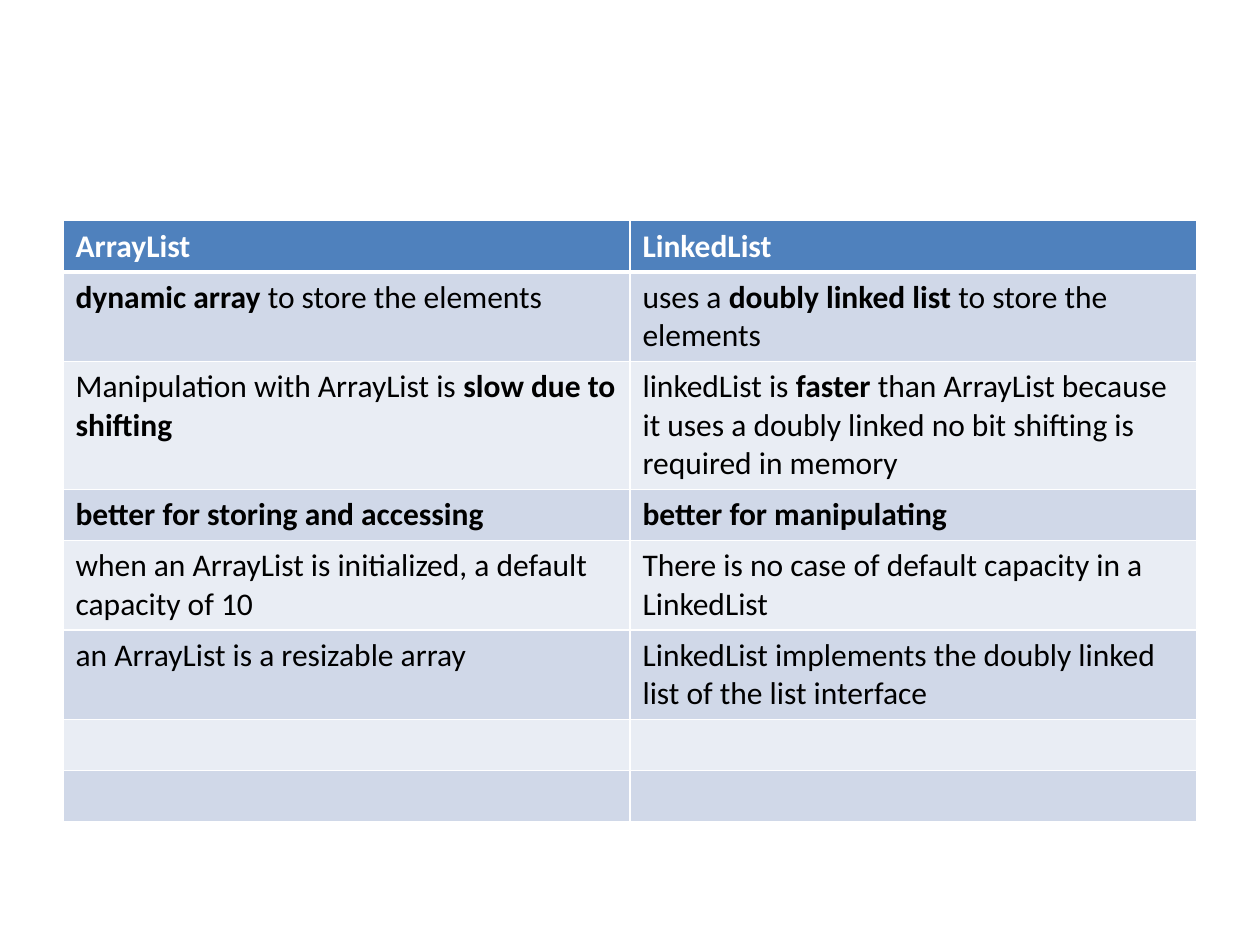
import pptx
import pptx.dml.color
import pptx.oxml
import pptx.oxml.ns
import pptx.util
from pptx.util import Cm

# Each cell is a list of (text, bold) runs; the first row is the header.
ROWS = [
    ([("ArrayList", True)], [("LinkedList", True)]),
    ([("dynamic array", True), ("\u00a0to store the elements", False)],
     [("uses a\u00a0", False), ("doubly linked list", True),
      ("\u00a0to store the elements", False)]),
    ([("Manipulation with ArrayList is\u00a0", False),
      ("slow due to shifting", True)],
     [("linkedList is\u00a0", False), ("faster", True),
      ("\u00a0than ArrayList because it uses a doubly linked no bit "
       "shifting is required in memory", False)]),
    ([("better for storing and accessing\u00a0", True)],
     [("better for manipulating", True)]),
    ([("when an ArrayList is initialized, a default capacity of 10", False)],
     [("There is no case of default capacity in a LinkedList", False)]),
    ([("an ArrayList is a resizable array", False)],
     [("LinkedList implements the doubly linked list of the list interface",
       False)]),
    ([], []),
    ([], []),
]

THEME = {
    "font": "Calibri",
    "size": 18,
    "header_fill": "4F81BD",
    "header_text": "FFFFFF",
    "body_text": "000000",
    "bands": ("D0D8E8", "E9EDF4"),
    "border": "FFFFFF",
    "thin": 1,
    "thick": 3,
}
SLIDE_SIZE = Cm(25.4), Cm(19.05)
TABLE_LEFT, TABLE_TOP = Cm(1.27), Cm(4.45)
COLUMN_WIDTH, ROW_HEIGHT = Cm(11.43), Cm(1.03)
BLANK_LAYOUT = 6


def rgb(value):
    """Return a colour object for a hex string."""
    return pptx.dml.color.RGBColor.from_string(value)


def write_runs(cell, runs, color):
    """Write the runs of one cell."""
    paragraph = cell.text_frame.paragraphs[0]
    for text, bold in runs:
        run = paragraph.add_run()
        run.text = text
        formats = {"name": THEME["font"], "bold": bold,
                   "size": pptx.util.Pt(THEME["size"])}
        for name, value in formats.items():
            setattr(run.font, name, value)
        run.font.color.rgb = rgb(color)


def set_borders(cell, widths):
    """Draw the cell borders; widths maps each side to points."""
    properties = cell._tc.get_or_add_tcPr()
    for index, (side, width) in enumerate(widths.items()):
        line = pptx.oxml.parse_xml(
            f'<a:ln{side} {pptx.oxml.ns.nsdecls("a")} '
            f'w="{pptx.util.Pt(width)}"><a:solidFill>'
            f'<a:srgbClr val="{THEME["border"]}"/></a:solidFill></a:ln{side}>')
        properties.insert(index, line)


def format_cell(cell, row_index, runs):
    """Fill, border and write one cell according to its row."""
    header = row_index == 0
    fill = THEME["header_fill"] if header else THEME["bands"][(row_index - 1) % 2]
    cell.fill.solid()
    cell.fill.fore_color.rgb = rgb(fill)
    widths = dict.fromkeys("LRTB", THEME["thin"])
    if header:
        widths["B"] = THEME["thick"]
    elif row_index == 1:
        widths["T"] = THEME["thick"]
    set_borders(cell, widths)
    write_runs(cell, runs, THEME["header_text" if header else "body_text"])


def add_comparison(slide):
    """Add the table comparing the two list classes."""
    row_count, column_count = len(ROWS), len(ROWS[0])
    table = slide.shapes.add_table(
        row_count, column_count, TABLE_LEFT, TABLE_TOP,
        COLUMN_WIDTH * column_count, ROW_HEIGHT * row_count).table
    for column in table.columns:
        column.width = COLUMN_WIDTH
    for row_index, row in enumerate(ROWS):
        table.rows[row_index].height = ROW_HEIGHT
        for column_index, runs in enumerate(row):
            format_cell(table.cell(row_index, column_index), row_index, runs)


def main():
    """Build and save the presentation."""
    presentation = pptx.Presentation()
    presentation.slide_width, presentation.slide_height = SLIDE_SIZE
    slide = presentation.slides.add_slide(
        presentation.slide_layouts[BLANK_LAYOUT])
    add_comparison(slide)
    presentation.save("out.pptx")


main()
